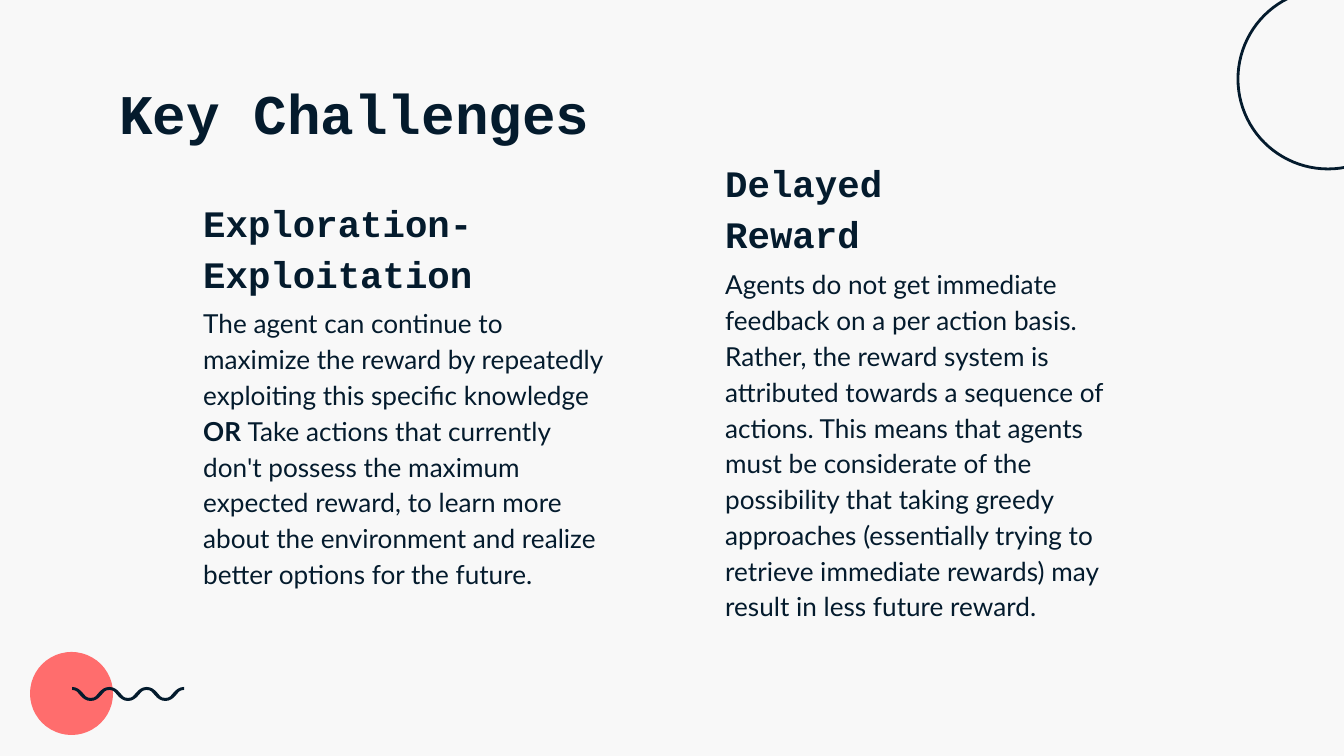
import lxml.etree
import pptx
import pptx.dml.color
import pptx.enum.shapes
import pptx.enum.text
import pptx.oxml.ns
import pptx.util

COLORS = {"paper": "F8F8F8", "ink": "041B2D", "coral": "FF6D6D"}
EMU_PER_PX = 914400 / 134.4
INSET = pptx.util.Inches(0.1)
LINE_SPACING = 1.14

TITLE = "Key Challenges"
# heading, left and top of the heading, top and height of the body, body runs (text, bold)
CHALLENGES = [
    ("Exploration-Exploitation", 190, 212, 290, 339, [
        ("The agent can continue to maximize the reward by repeatedly exploiting "
         "this specific knowledge ", False),
        ("OR\u00a0", True),
        ("Take actions that currently don't possess the maximum expected reward, "
         "to learn more about the environment and realize better options for the "
         "future.", False),
    ]),
    ("Delayed Reward", 712, 172, 251, 384, [
        ("Agents do not get immediate feedback on a per action basis. Rather, the "
         "reward system is attributed towards a sequence of actions. This means "
         "that agents must be considerate of the possibility that taking greedy "
         "approaches (essentially trying to retrieve immediate rewards) may result "
         "in less future reward.", False),
    ]),
]
HEADING_SIZE = (339, 97)
BODY_WIDTH = 438

FORMATS = {
    "title": {"name": "Courier New", "size": pptx.util.Pt(30)},
    "heading": {"name": "Courier New", "size": pptx.util.Pt(20)},
    "body": {"name": "Lato", "size": pptx.util.Pt(14)},
}
RING = (1238, -11, 180, 180)
DOT = (30, 652, 83, 83)
WAVE = {"left": 72, "top": 687, "width": 112, "height": 14, "thickness": 3}
HALF_WAVES = 6


def px(length):
    return pptx.util.Emu(round(length * EMU_PER_PX))


def color(name):
    return pptx.dml.color.RGBColor.from_string(COLORS[name])


def add_text(page, frame, style, runs, spacing=1.0, anchor="TOP"):
    box = page.shapes.add_textbox(*map(px, frame))
    text = box.text_frame
    settings = {"word_wrap": True,
                "vertical_anchor": getattr(pptx.enum.text.MSO_ANCHOR, anchor)}
    for side in ("left", "top", "right", "bottom"):
        settings["margin_" + side] = INSET
    for key, value in settings.items():
        setattr(text, key, value)
    para = text.paragraphs[0]
    para.line_spacing = spacing
    for words, bold in runs:
        span = para.add_run()
        span.text = words
        for key, value in {**FORMATS[style], "bold": bold}.items():
            setattr(span.font, key, value)
        span.font.color.rgb = color("ink")


def add_circle(page, frame):
    circle = page.shapes.add_shape(pptx.enum.shapes.MSO_SHAPE.OVAL, *map(px, frame))
    circle.shadow.inherit = False
    return circle


def fill_plain(shape, name):
    shape.shadow.inherit = False
    shape.fill.solid()
    shape.fill.fore_color.rgb = color(name)
    shape.line.fill.background()


def wave_curves(edge):
    """Cubic curves, two per half wave, of the upper (0) or lower (1) edge."""
    span = WAVE["width"] / HALF_WAVES
    high = edge * WAVE["thickness"]
    low = high + WAVE["height"] - WAVE["thickness"]
    middle = (high + low) / 2
    curves = []
    for index in range(HALF_WAVES):
        start, end = (high, low) if index % 2 == 0 else (low, high)
        lean = 1 if (index + edge) % 2 == 0 else -1
        left, right = index * span, (index + 1) * span
        center = (left + right) / 2 + lean
        bend = span / 8
        curves.append([(left, start), (left + span / 4, start),
                       (center - bend, (start + middle) / 2), (center, middle)])
        curves.append([(center, middle), (center + bend, (middle + end) / 2),
                       (right - span / 4, end), (right, end)])
    return curves


def add_wave(page):
    left, top, width, height = (WAVE[key] for key in ("left", "top", "width", "height"))
    builder = page.shapes.build_freeform(px(left), px(top))
    builder.add_line_segments([(px(left + width), px(top)),
                               (px(left + width), px(top + height)),
                               (px(left), px(top + height))], close=True)
    wave = builder.convert_to_shape()
    outline = wave.element.find(".//" + pptx.oxml.ns.qn("a:path"))
    for child in list(outline):
        outline.remove(child)

    def add_step(tag, points=()):
        step = lxml.etree.SubElement(outline, pptx.oxml.ns.qn("a:" + tag))
        for x, y in points:
            lxml.etree.SubElement(step, pptx.oxml.ns.qn("a:pt"), x=str(px(x)), y=str(px(y)))

    upper = wave_curves(0)
    lower = [curve[::-1] for curve in reversed(wave_curves(1))]
    add_step("moveTo", upper[0][:1])
    for curve in upper:
        add_step("cubicBezTo", curve[1:])
    add_step("lnTo", lower[0][:1])
    for curve in lower:
        add_step("cubicBezTo", curve[1:])
    add_step("close")
    fill_plain(wave, "ink")


def main():
    deck = pptx.Presentation()
    deck.slide_width, deck.slide_height = px(1344), px(756)
    page = deck.slides.add_slide(deck.slide_layouts[6])
    page.background.fill.solid()
    page.background.fill.fore_color.rgb = color("paper")

    ring = add_circle(page, RING)
    ring.fill.background()
    ring.line.color.rgb = color("ink")
    ring.line.width = pptx.util.Pt(1.5)

    add_text(page, (106, 65, 1133, 85), "title", [(TITLE, True)])
    for heading, left, top, body_top, body_height, runs in CHALLENGES:
        add_text(page, (left, body_top, BODY_WIDTH, body_height), "body", runs,
                 LINE_SPACING)
        add_text(page, (left, top, *HEADING_SIZE), "heading", [(heading, True)],
                 LINE_SPACING, "BOTTOM")

    fill_plain(add_circle(page, DOT), "coral")
    add_wave(page)
    deck.save("out.pptx")


if __name__ == "__main__":
    main()
